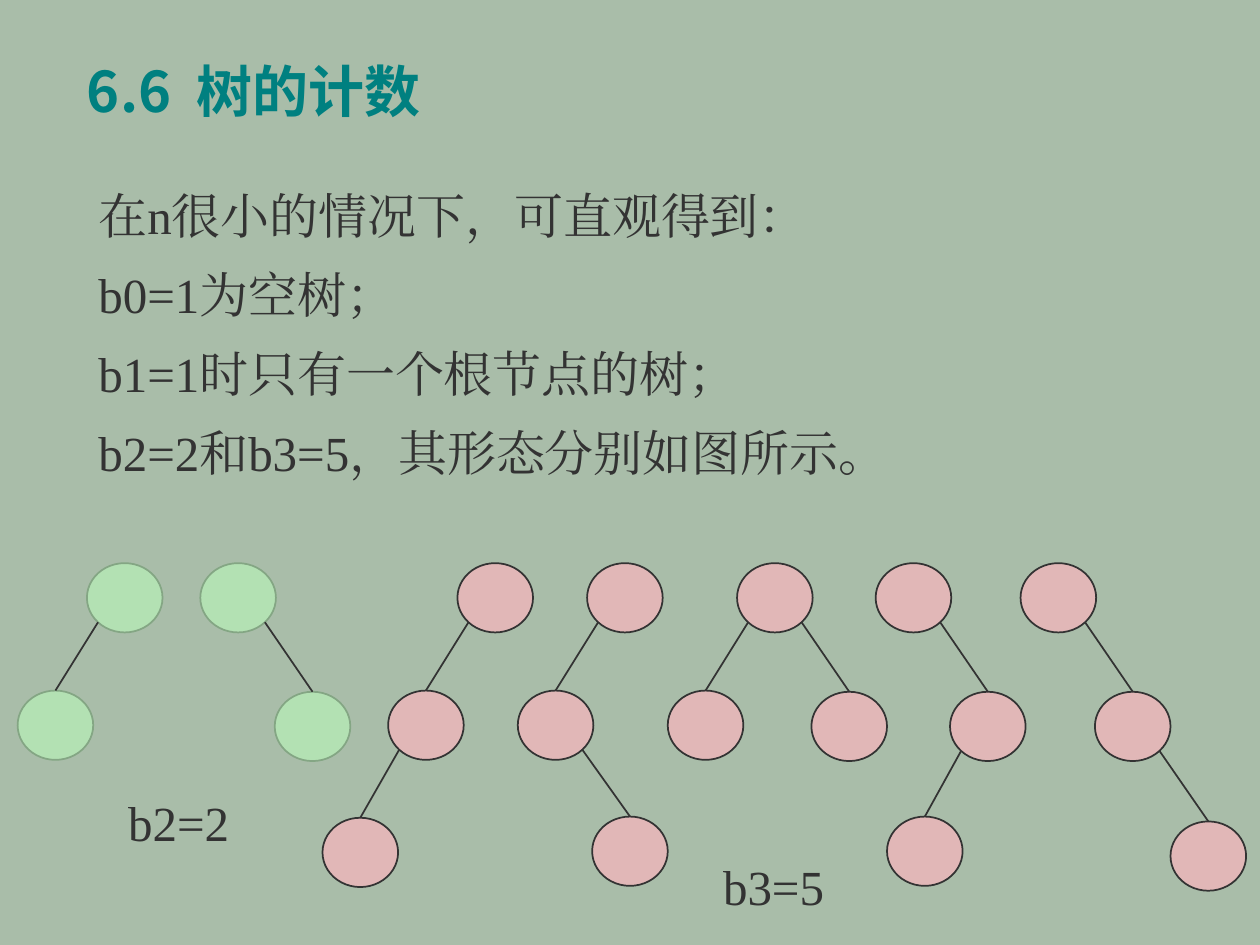
from dataclasses import dataclass
from math import sqrt

from lxml import etree
from pptx import Presentation
from pptx.dml.color import RGBColor
from pptx.enum.shapes import MSO_CONNECTOR, MSO_SHAPE
from pptx.enum.text import MSO_ANCHOR, MSO_AUTO_SIZE, PP_ALIGN
from pptx.oxml.ns import qn
from pptx.util import Pt

OVAL = MSO_SHAPE.OVAL
STRAIGHT = MSO_CONNECTOR.STRAIGHT
TOP, BOTTOM = MSO_ANCHOR.TOP, MSO_ANCHOR.BOTTOM
NO_FIT = MSO_AUTO_SIZE.NONE
LEFT = PP_ALIGN.LEFT


@dataclass(frozen=True)
class Theme:
    background: str = "A9BDA9"
    title: str = "008080"
    ink: str = "333333"
    green: str = "B3E1B3"
    green_line: str = "84A684"
    pink: str = "E1B7B7"
    title_font: str = "Noto Sans CJK SC"
    body_font: str = "Times New Roman"
    title_size: int = 32
    body_size: int = 28


THEME = Theme()
TITLE_FORMAT = dict(name=THEME.title_font, size=Pt(THEME.title_size), bold=True)
BODY_FORMAT = dict(name=THEME.body_font, size=Pt(THEME.body_size), bold=False)
BODY_SPACING = dict(line_spacing=1.15, space_before=Pt(0), space_after=Pt(6.5))
NODE_W, NODE_H = 43.2, 39.6

TITLE = "6.6  树的计数"
BODY = [
    "在n很小的情况下，可直观得到：",
    "b0=1为空树；",
    "b1=1时只有一个根节点的树；",
    "b2=2和b3=5，其形态分别如图所示。",
]

ROOT_Y, LEFT_Y, RIGHT_Y = 321.8, 394.6, 395.3
B2_TREES = [
    (49.7, ROOT_Y, (10.1, LEFT_Y, None, None), None),
    (114.5, ROOT_Y, None, (157, RIGHT_Y, None, None)),
]
B3_TREES = [
    (261.4, ROOT_Y, (221.8, LEFT_Y, (184.3, 467.3, None, None), None), None),
    (335.5, ROOT_Y, (295.9, LEFT_Y, None, (338.4, 466.6, None, None)), None),
    (421.2, ROOT_Y, (381.6, LEFT_Y, None, None), (463.7, RIGHT_Y, None, None)),
    (500.4, ROOT_Y, None, (542.9, RIGHT_Y, (506.9, 466.6, None, None), None)),
    (583.2, ROOT_Y, None, (625.7, RIGHT_Y, None, (668.9, 469.4, None, None))),
]


def rgb(value):
    return RGBColor.from_string(value)


def apply(target, values):
    for key, value in values.items():
        setattr(target, key, value)


def write(p, text, values, color):
    r = p.add_run()
    r.text = text
    apply(r.font, values)
    r.font.color.rgb = rgb(color)
    ea = etree.SubElement(r.font._element, qn("a:ea"))
    ea.set("typeface", values["name"])


def place(sp, x, y, w, h):
    apply(sp, dict(left=Pt(x), top=Pt(y), width=Pt(w), height=Pt(h)))


def fill_title(s):
    sp = s.shapes.title
    place(sp, 42.5, 20.2, 402.5, 54)
    tf = sp.text_frame
    apply(tf, dict(auto_size=NO_FIT, vertical_anchor=BOTTOM, word_wrap=True))
    p = tf.paragraphs[0]
    p.alignment = LEFT
    write(p, TITLE, TITLE_FORMAT, THEME.title)


def fill_body(s):
    sp = s.placeholders[1]
    place(sp, 49, 97.2, 586.8, 180.7)
    tf = sp.text_frame
    apply(tf, dict(auto_size=NO_FIT, vertical_anchor=TOP, word_wrap=True))
    for i, text in enumerate(BODY):
        p = tf.add_paragraph() if i else tf.paragraphs[0]
        apply(p, BODY_SPACING)
        pPr = p._p.get_or_add_pPr()
        pPr.set("marL", "0")
        pPr.set("indent", "0")
        etree.SubElement(pPr, qn("a:buNone"))
        write(p, text, BODY_FORMAT, THEME.ink)


def add_label(s, text, x, y):
    tf = s.shapes.add_textbox(Pt(x), Pt(y), Pt(72.7), Pt(41)).text_frame
    tf.word_wrap = False
    write(tf.paragraphs[0], text, BODY_FORMAT, THEME.ink)


def add_node(s, x, y, fill, line):
    sp = s.shapes.add_shape(OVAL, Pt(x), Pt(y), Pt(NODE_W), Pt(NODE_H))
    sp.shadow.inherit = False
    sp.fill.solid()
    sp.fill.fore_color.rgb = rgb(fill)
    sp.line.color.rgb = rgb(line)
    sp.line.width = Pt(1)
    return sp


def add_edge(s, x, y, child):
    cx = s.shapes.add_connector(STRAIGHT, Pt(x), Pt(y), child.left, child.top)
    cx.end_connect(child, 0)
    cx.line.color.rgb = rgb(THEME.ink)
    cx.line.width = Pt(1)
    etree.SubElement(cx._element.spPr, qn("a:effectLst"))


def add_tree(s, tree, fill, line):
    x, y, left, right = tree
    node = add_node(s, x, y, fill, line)
    for side, branch in ((-1, left), (1, right)):
        if branch:
            child = add_tree(s, branch, fill, line)
            edge_x = x + NODE_W / 2 * (1 + side / sqrt(2))
            edge_y = y + NODE_H / 2 * (1 + 1 / sqrt(2))
            add_edge(s, edge_x, edge_y, child)
    return node


def main():
    prs = Presentation()
    prs.slide_width, prs.slide_height = Pt(720), Pt(540)
    s = prs.slides.add_slide(prs.slide_layouts[1])
    s.background.fill.solid()
    s.background.fill.fore_color.rgb = rgb(THEME.background)
    fill_title(s)
    fill_body(s)
    for tree in B2_TREES:
        add_tree(s, tree, THEME.green, THEME.green_line)
    for tree in B3_TREES:
        add_tree(s, tree, THEME.pink, THEME.ink)
    add_label(s, "b2=2", 66.2, 449.3)
    add_label(s, "b3=5", 406.1, 486)
    prs.save("out.pptx")


if __name__ == "__main__":
    main()
